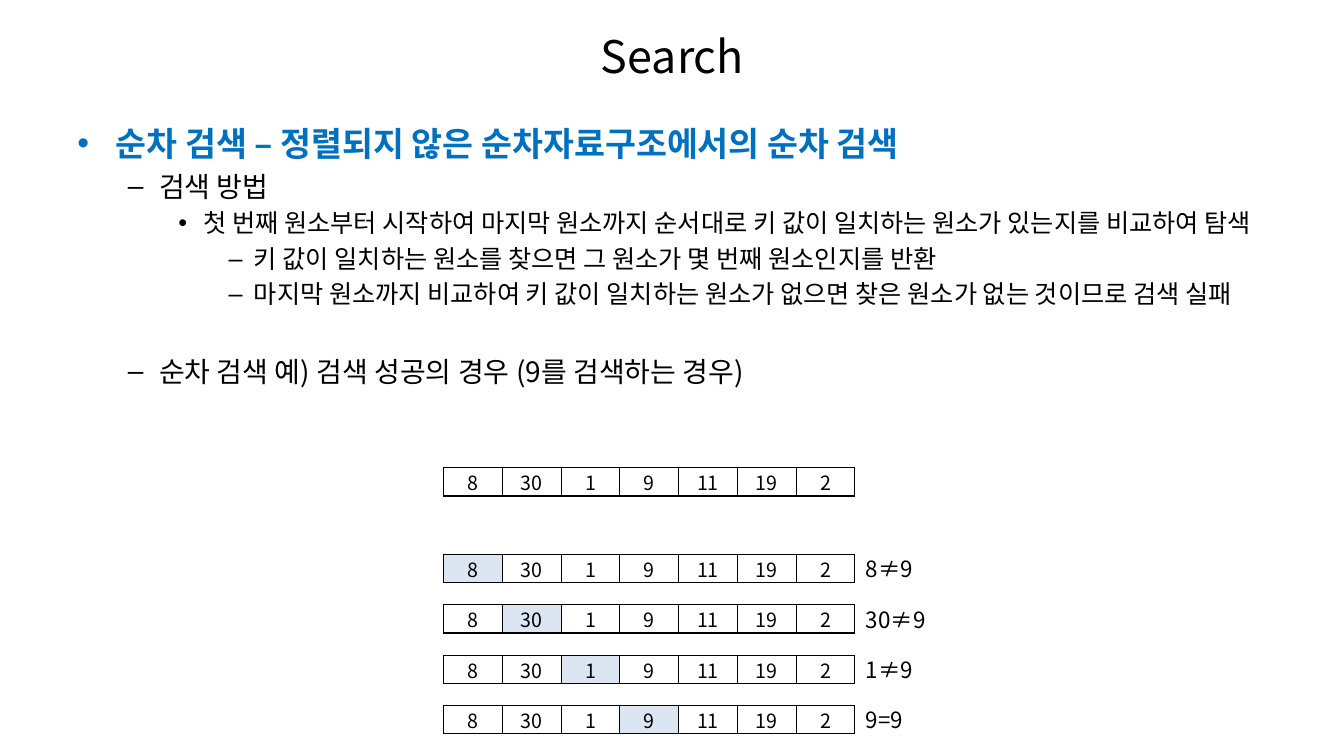
"""Build a slide that explains sequential search on unsorted data."""
from lxml import etree
from pptx import Presentation
from pptx import util as u
from pptx.dml.color import RGBColor
from pptx.enum import text
from pptx.oxml import ns

FONT = "Noto Sans CJK KR"
BLACK = RGBColor(0x00, 0x00, 0x00)
WHITE = RGBColor(0xFF, 0xFF, 0xFF)
BLUE = RGBColor(0x00, 0x70, 0xC0)
PALE_BLUE = RGBColor(0xDC, 0xE6, 0xF2)

LEVELS = [
    (24, 0.38, 0.38, "•"),
    (20, 0.81, 0.31, "–"),
    (18, 1.25, 0.25, "•"),
    (18, 1.75, 0.25, "–"),
]
OUTLINE = [
    (0, 0, "순차 검색 – 정렬되지 않은 순차자료구조에서의 순차 검색"),
    (1, 3.7, "검색 방법"),
    (2, 2.5, "첫 번째 원소부터 시작하여 마지막 원소까지 순서대로 키 값이 일치하는 원소가 있는지를 비교하여 탐색"),
    (3, 2.8, "키 값이 일치하는 원소를 찾으면 그 원소가 몇 번째 원소인지를 반환"),
    (3, 2.8, "마지막 원소까지 비교하여 키 값이 일치하는 원소가 없으면 찾은 원소가 없는 것이므로 검색 실패"),
    (1, 31.3, "순차 검색 예) 검색 성공의 경우 (9를 검색하는 경우)"),
]
VALUES = [8, 30, 1, 9, 11, 19, 2]
TARGET = 9
ARRAY_LEFT, ARRAY_WIDTH, ARRAY_HEIGHT = 4.4, 4.08, 0.28
STEP_TOP, STEP_PITCH = 5.5, 0.5


class Deck:
    def __init__(self):
        self.prs = Presentation()
        self.prs.slide_width = u.Inches(13.33)
        self.prs.slide_height = u.Inches(7.5)
        self.s = self.prs.slides.add_slide(self.prs.slide_layouts[5])

    def run(self, p, words, size, color=BLACK, bold=False):
        r = p.add_run()
        r.text = words
        r.font.size = u.Pt(size)
        r.font.name = FONT
        r.font.bold = bold
        r.font.color.rgb = color
        ea = etree.SubElement(r.font._element, ns.qn("a:ea"))
        ea.set("typeface", FONT)

    def title(self, words):
        sp = self.s.shapes.title
        sp.left, sp.top = u.Inches(0.67), u.Inches(0.13)
        sp.width, sp.height = u.Inches(12), u.Inches(0.85)
        sp.text_frame.vertical_anchor = text.MSO_ANCHOR.MIDDLE
        p = sp.text_frame.paragraphs[0]
        p.alignment = text.PP_ALIGN.CENTER
        self.run(p, words, 32)

    def box(self, left, top, width, height, wrap):
        sp = self.s.shapes.add_textbox(
            u.Inches(left), u.Inches(top), u.Inches(width), u.Inches(height))
        sp.text_frame.word_wrap = wrap
        return sp.text_frame

    def label(self, left, top, words):
        tf = self.box(left, top, 0.84, 0.37, False)
        self.run(tf.paragraphs[0], words, 16)

    def outline(self, items):
        tf = self.box(0.67, 1.15, 12.36, 5.67, True)
        for i, (level, gap, words) in enumerate(items):
            p = tf.add_paragraph() if i else tf.paragraphs[0]
            size, margin, hang, mark = LEVELS[level]
            p.level = level
            p.line_spacing = u.Pt(size * 1.25)
            p.space_before = u.Pt(gap)
            ppr = p._p.get_or_add_pPr()
            ppr.set("marL", str(u.Inches(margin)))
            ppr.set("indent", str(-u.Inches(hang)))
            etree.SubElement(ppr, ns.qn("a:buFont")).set("typeface", "Arial")
            etree.SubElement(ppr, ns.qn("a:buChar")).set("char", mark)
            heading = level == 0
            self.run(p, words, size, BLUE if heading else BLACK, heading)

    def border(self, cell):
        tcpr = cell._tc.get_or_add_tcPr()
        for side in ("lnL", "lnR", "lnT", "lnB"):
            ln = etree.SubElement(tcpr, ns.qn("a:" + side))
            ln.set("w", str(u.Pt(1)))
            fill = etree.SubElement(ln, ns.qn("a:solidFill"))
            etree.SubElement(fill, ns.qn("a:srgbClr")).set("val", str(BLACK))

    def array(self, top, current=None):
        table = self.s.shapes.add_table(
            1, len(VALUES), u.Inches(ARRAY_LEFT), u.Inches(top),
            u.Inches(ARRAY_WIDTH), u.Inches(ARRAY_HEIGHT)).table
        table.first_row = table.horz_banding = False
        for i, value in enumerate(VALUES):
            cell = table.cell(0, i)
            cell.margin_left = cell.margin_right = 0
            cell.margin_top = cell.margin_bottom = 0
            cell.vertical_anchor = text.MSO_ANCHOR.MIDDLE
            self.border(cell)
            cell.fill.solid()
            cell.fill.fore_color.rgb = PALE_BLUE if i == current else WHITE
            p = cell.text_frame.paragraphs[0]
            p.alignment = text.PP_ALIGN.CENTER
            self.run(p, str(value), 14)


def main():
    deck = Deck()
    deck.title("Search")
    deck.outline(OUTLINE)
    deck.array(4.64)
    for i, value in enumerate(VALUES[:VALUES.index(TARGET) + 1]):
        top = STEP_TOP + i * STEP_PITCH
        deck.array(top, i)
        sign = "=" if value == TARGET else "≠"
        deck.label(8.49, top - 0.04, f"{value}{sign}{TARGET}")
    deck.prs.save("out.pptx")


if __name__ == "__main__":
    main()
